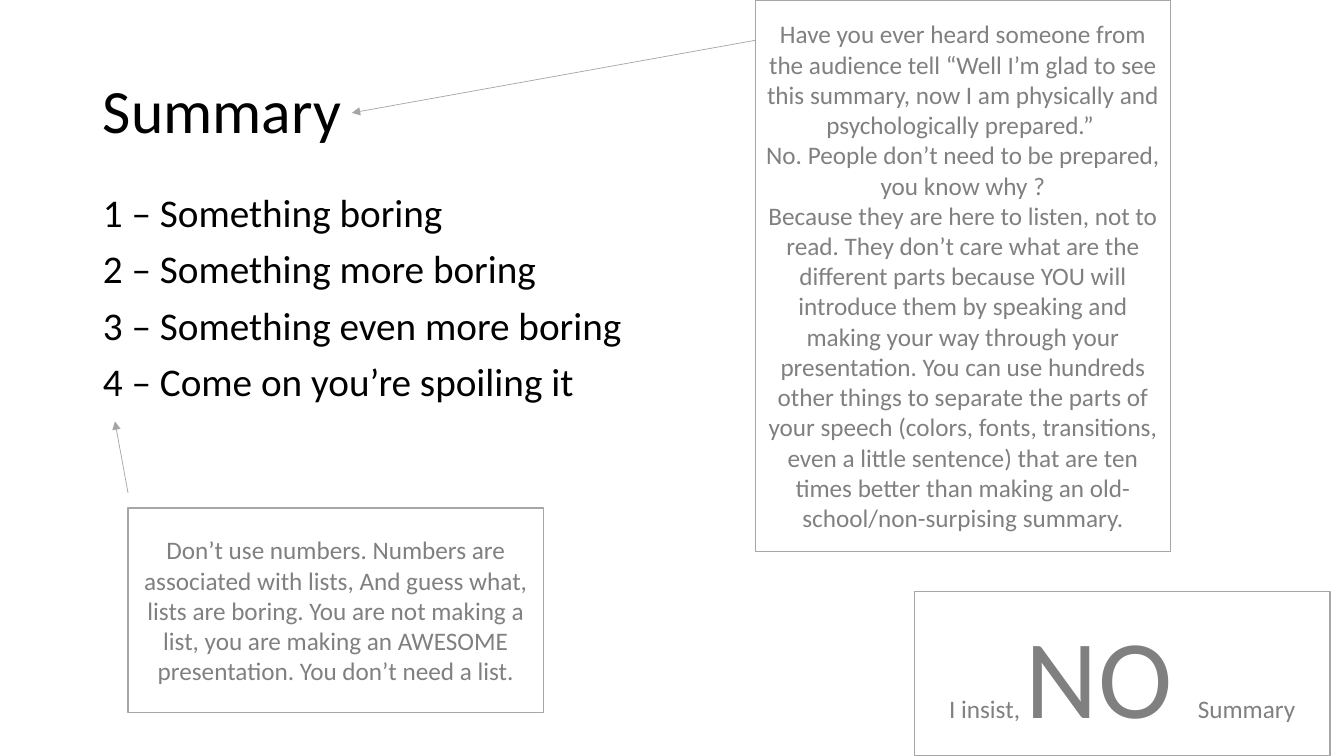
from lxml.etree import SubElement
from pptx import Presentation
from pptx.dml.color import RGBColor
from pptx.enum.shapes import MSO_CONNECTOR, MSO_SHAPE
from pptx.enum.text import MSO_ANCHOR, MSO_AUTO_SIZE, PP_ALIGN
from pptx.oxml.ns import qn
from pptx.util import Inches, Pt

BLACK = RGBColor(0x00, 0x00, 0x00)
GREY_TEXT = RGBColor(0x80, 0x80, 0x80)
GREY_BORDER = RGBColor(0xA6, 0xA6, 0xA6)
GREY_ARROW = RGBColor(0xA5, 0xA5, 0xA5)


class SummarySlide:
    font = "Calibri"
    note_width = 4.12
    note_size = 18

    def __init__(self, presentation):
        self.slide = presentation.slides.add_slide(presentation.slide_layouts[1])

    def style_runs(self, paragraph, size, color):
        for run in paragraph.runs:
            run.font.name = self.font
            run.font.size = Pt(size)
            run.font.color.rgb = color

    def place(self, shape, left, top, width, height, anchor):
        shape.left, shape.top = Inches(left), Inches(top)
        shape.width, shape.height = Inches(width), Inches(height)
        shape.text_frame.word_wrap = True
        shape.text_frame.auto_size = MSO_AUTO_SIZE.NONE
        shape.text_frame.vertical_anchor = anchor

    def fill_placeholder(self, placeholder, lines, size, gap=0):
        frame = placeholder.text_frame
        frame.text = "\n".join(lines)
        for index, paragraph in enumerate(frame.paragraphs):
            properties = paragraph._p.get_or_add_pPr()
            properties.set("marL", "0")
            properties.set("indent", "0")
            SubElement(properties, qn("a:buNone"))
            paragraph.alignment = PP_ALIGN.LEFT
            paragraph.line_spacing = 0.9
            paragraph.space_before = Pt(gap if index else 0)
            self.style_runs(paragraph, size, BLACK)

    def title(self, text):
        heading = self.slide.shapes.title
        self.place(heading, 0.92, 0.4, 11.5, 1.45, MSO_ANCHOR.MIDDLE)
        self.fill_placeholder(heading, [text], 44)

    def items(self, lines):
        body = self.slide.placeholders[1]
        self.place(body, 0.92, 1.87, 11.5, 4.76, MSO_ANCHOR.TOP)
        self.fill_placeholder(body, lines, 28, gap=10)

    def note(self, left, top, height, lines):
        box = self.slide.shapes.add_shape(
            MSO_SHAPE.RECTANGLE, Inches(left), Inches(top),
            Inches(self.note_width), Inches(height))
        self.place(box, left, top, self.note_width, height, MSO_ANCHOR.MIDDLE)
        box.shadow.inherit = False
        box.fill.background()
        box.line.color.rgb = GREY_BORDER
        box.line.width = Pt(1)
        box.text_frame.text = "\n".join(lines)
        for paragraph in box.text_frame.paragraphs:
            paragraph.alignment = PP_ALIGN.CENTER
            self.style_runs(paragraph, self.note_size, GREY_TEXT)
        return box.text_frame.paragraphs[0]

    def emphasized_note(self, left, top, height, before, emphasis, after, size):
        paragraph = self.note(left, top, height, [before])
        for text in (emphasis, after):
            paragraph.add_run().text = text
        self.style_runs(paragraph, self.note_size, GREY_TEXT)
        paragraph.runs[1].font.size = Pt(size)

    def arrow(self, start, end):
        pointer = self.slide.shapes.add_connector(
            MSO_CONNECTOR.STRAIGHT, *map(Inches, start + end))
        pointer.line.color.rgb = GREY_ARROW
        pointer.line.width = Pt(0.5)
        SubElement(pointer.line._get_or_add_ln(), qn("a:tailEnd"), type="triangle")
        SubElement(pointer._element.spPr, qn("a:effectLst"))


def main():
    presentation = Presentation()
    presentation.slide_width = Inches(13.33)
    presentation.slide_height = Inches(7.5)
    summary = SummarySlide(presentation)

    summary.title("Summary")
    summary.items([
        "1 – Something boring",
        "2 – Something more boring",
        "3 – Something even more boring",
        "4 – Come on you’re spoiling it",
    ])
    summary.note(1.27, 5.04, 2.03, [
        "Don’t use numbers. Numbers are associated with lists, And guess what, "
        "lists are boring. You are not making a list, you are making an AWESOME "
        "presentation. You don’t need a list.",
    ])
    summary.note(7.49, 0, 5.47, [
        "Have you ever heard someone from the audience tell “Well I’m glad to see "
        "this summary, now I am physically and psychologically prepared.” ",
        "No. People don’t need to be prepared, you know why ?",
        "Because they are here to listen, not to read. They don’t care what are "
        "the different parts because YOU will introduce them by speaking and "
        "making your way through your presentation. You can use hundreds other "
        "things to separate the parts of your speech (colors, fonts, transitions, "
        "even a little sentence) that are ten times better than making an "
        "old-school/non-surpising summary.",
    ])
    summary.arrow((7.49, 0.4), (3.49, 1.12))
    summary.arrow((1.27, 4.89), (1.14, 4.18))
    summary.emphasized_note(9.07, 5.87, 1.63, "I insist, ", "NO ", "Summary", 80)

    presentation.save("out.pptx")


if __name__ == "__main__":
    main()
